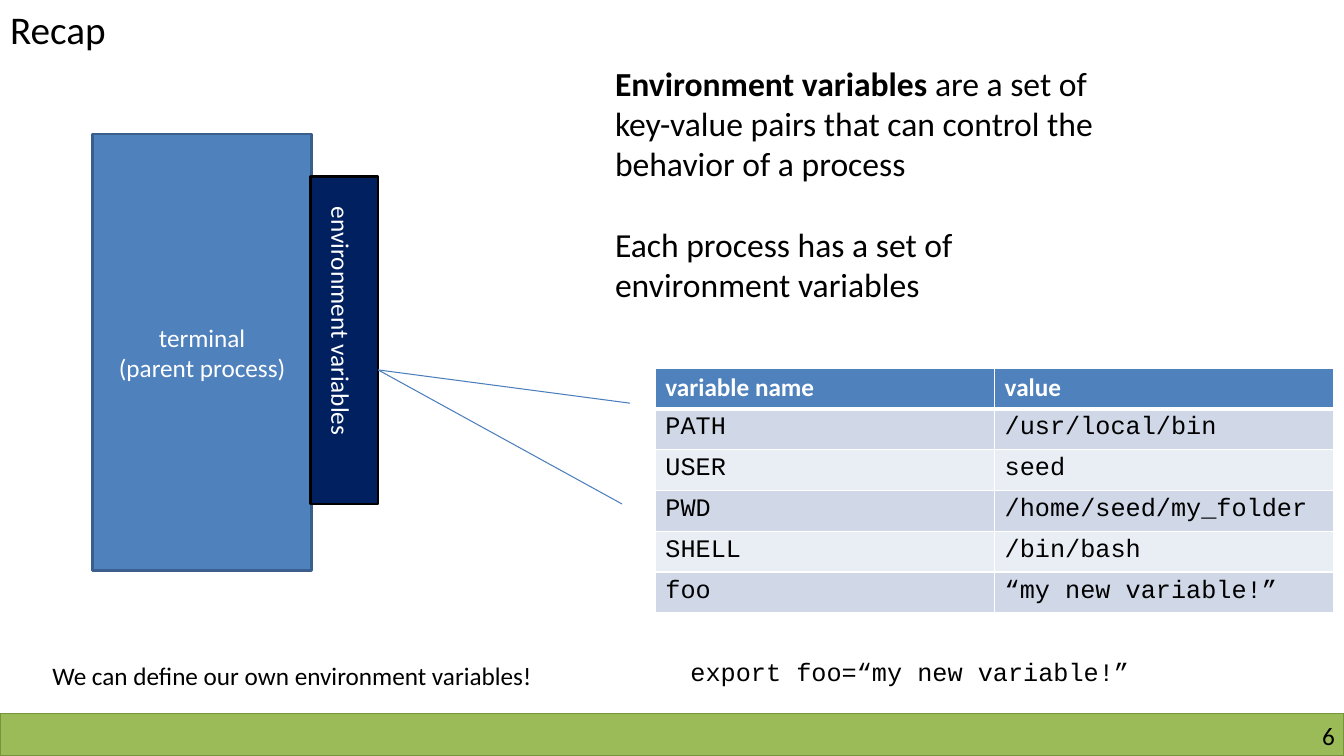
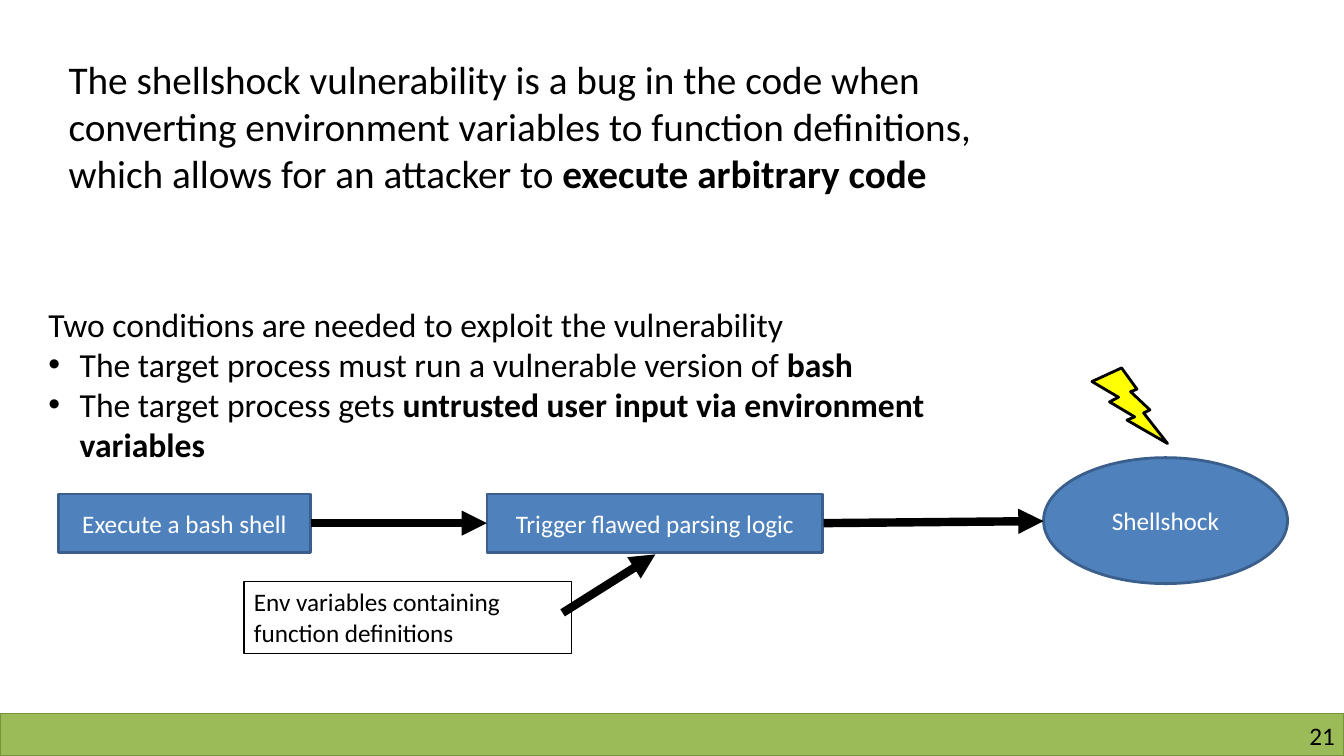
from lxml import etree
from pptx import Presentation
from pptx import util as u
from pptx.dml.color import RGBColor
from pptx.enum import shapes, text
from pptx.oxml import ns

COLORS = {
    "black": "000000", "white": "FFFFFF", "blue": "4F81BD", "blue_edge": "3A5F8C",
    "callout": "4B7EBC", "navy": "002060", "yellow": "FFFF00",
    "green": "9BBB59", "green_edge": "77933C", "row_odd": "D0D8E8", "row_even": "E9EDF4",
}
FONT, CODE_FONT = "Calibri", "Courier New"
SHAPE = shapes.MSO_SHAPE
ALIGN = text.PP_ALIGN
ANCHOR = text.MSO_ANCHOR


def rgb(name):
    return RGBColor.from_string(COLORS[name])


def sub(parent, tag, **attrs):
    return etree.SubElement(parent, ns.qn(tag), attrs)


class Deck:
    """Shared style plus the slide being built; boxes are (left, top, width, height) in inches."""

    def __init__(self):
        self.prs = Presentation()
        self.prs.slide_width = u.Inches(13.33)
        self.prs.slide_height = u.Inches(7.5)
        self.s = None

    def new_slide(self, number):
        self.s = self.prs.slides.add_slide(self.prs.slide_layouts[1])
        self.shape(SHAPE.RECTANGLE, (0, 7.08, 13.33, 0.42), "green", "green_edge", 1)
        tf = self.textbox((10.17, 7.15, 3.07, 0.3), number, align=ALIGN.RIGHT).text_frame
        tf.margin_left = tf.margin_right = tf.margin_top = tf.margin_bottom = 0

    def fill_text(self, tf, lines, size=18, color="black", font=FONT, align=ALIGN.LEFT,
                  anchor=ANCHOR.TOP, gap=0):
        """Fill a frame: **marks** give bold, a leading bullet sign gives a list item."""
        tf.word_wrap = True
        tf.auto_size = text.MSO_AUTO_SIZE.NONE
        tf.vertical_anchor = anchor
        for i, line in enumerate(lines):
            p = tf.paragraphs[0] if i == 0 else tf.add_paragraph()
            p.alignment = align
            p.space_before = u.Pt(gap if i else 0)
            self.bullet(p, line.startswith("•"))
            self.style(p.font, size, color, font)
            for j, part in enumerate(line.lstrip("• ").split("**")):
                if part:
                    r = p.add_run()
                    r.text = part
                    if j % 2:
                        r.font.bold = True

    def bullet(self, p, on):
        pPr = p._p.get_or_add_pPr()
        indent = u.Inches(0.31) if on else 0
        pPr.set("marL", str(indent))
        pPr.set("indent", str(-indent))
        if on:
            sub(pPr, "a:buFont", typeface="Arial")
            sub(pPr, "a:buChar", char="•")
        else:
            sub(pPr, "a:buNone")

    def style(self, font, size, color, name):
        font.size = u.Pt(size)
        font.name = name
        font.color.rgb = rgb(color)

    def place(self, sp, box):
        sp.left, sp.top, sp.width, sp.height = map(u.Inches, box)

    def title(self, box, line):
        sp = self.s.shapes.title
        self.place(sp, box)
        self.fill_text(sp.text_frame, [line], size=28)

    def body(self, box, *lines, gap=0):
        sp = self.s.placeholders[1]
        self.place(sp, box)
        self.fill_text(sp.text_frame, lines, size=24, gap=gap)

    def textbox(self, box, line, **style):
        sp = self.s.shapes.add_textbox(*map(u.Inches, box))
        self.fill_text(sp.text_frame, [line], **style)
        return sp

    def shape(self, kind, box, fill, edge, width=2):
        sp = self.s.shapes.add_shape(kind, *map(u.Inches, box))
        sp.shadow.inherit = False
        if fill:
            sp.fill.solid()
            sp.fill.fore_color.rgb = rgb(fill)
        else:
            sp.fill.background()
        sp.line.color.rgb = rgb(edge)
        sp.line.width = u.Pt(width)
        return sp

    def node(self, box, *lines, kind=SHAPE.RECTANGLE):
        sp = self.shape(kind, box, "blue", "blue_edge")
        self.fill_text(sp.text_frame, lines, color="white", align=ALIGN.CENTER,
                       anchor=ANCHOR.MIDDLE)

    def line(self, start, end, color, width, arrow=False):
        points = map(u.Inches, (*start, *end))
        c = self.s.shapes.add_connector(shapes.MSO_CONNECTOR.STRAIGHT, *points)
        c.line.color.rgb = rgb(color)
        c.line.width = u.Pt(width)
        if arrow:
            sub(c.line._get_or_add_ln(), "a:tailEnd", type="triangle")
        sub(c._element.spPr, "a:effectLst")

    def arrow(self, start, end):
        self.line(start, end, "black", 6, arrow=True)

    def table(self, box, rows):
        """The first row is the header; the others are code on banded fills."""
        frame = self.s.shapes.add_table(len(rows), len(rows[0]), *map(u.Inches, box))
        for i, row in enumerate(rows):
            for j, value in enumerate(row):
                cell = frame.table.cell(i, j)
                self.cell_borders(cell, top=3 if i == 1 else 1, bottom=3 if i == 0 else 1)
                cell.fill.solid()
                fill = "blue" if i == 0 else "row_odd" if i % 2 else "row_even"
                cell.fill.fore_color.rgb = rgb(fill)
                p = cell.text_frame.paragraphs[0]
                p.text = value
                p.font.bold = i == 0
                self.style(p.font, 18, "black" if i else "white", CODE_FONT if i else FONT)

    def cell_borders(self, cell, top, bottom):
        tcPr = cell._tc.get_or_add_tcPr()
        for side, width in (("L", 1), ("R", 1), ("T", top), ("B", bottom)):
            ln = sub(tcPr, "a:ln" + side, w=str(u.Pt(width)))
            sub(sub(ln, "a:solidFill"), "a:srgbClr", val=COLORS["white"])


def recap(d):
    d.new_slide("6")
    d.title((0, 0, 7.75, 0.57), "Recap")
    d.node((0.92, 1.33, 2.17, 4.33), "terminal", "(parent process)")
    d.shape(SHAPE.RECTANGLE, (3.08, 1.75, 0.67, 3.25), "navy", "black")
    label = d.textbox((2.05, 3.09, 2.67, 0.4), "environment variables", color="white")
    label.rotation = 90
    d.body((6, 0.57, 5.26, 2.52),
           "**Environment variables **are a set of key-value pairs that can control "
           "the behavior of a process",
           "Each process has a set of environment variables", gap=29)
    for end in ((6.25, 4), (6.17, 5)):
        d.line((3.75, 3.67), end, "callout", 0.75)
    d.table((6.5, 3.65, 6.73, 2.43), [
        ("variable name", "value"),
        ("PATH", "/usr/local/bin"),
        ("USER", "seed"),
        ("PWD", "/home/seed/my_folder"),
        ("SHELL", "/bin/bash"),
        ("foo", "“my new variable!”"),
    ])
    d.textbox((0.42, 6.5, 5.39, 0.4), "We can define our own environment variables!")
    d.textbox((6.75, 6.46, 5, 0.4), "export foo=“my new variable!”", font=CODE_FONT)


def shellshock(d):
    d.new_slide("21")
    d.title((0.58, 0.5, 9.42, 1.99),
            "The shellshock vulnerability is a bug in the code when converting environment "
            "variables to function definitions, which allows for an attacker to "
            "**execute arbitrary code**")
    d.body((0.38, 2.96, 9.58, 1.72),
           "Two conditions are needed to exploit the vulnerability",
           "• The target process must run a vulnerable version of **bash**",
           "• The target process gets **untrusted user input via environment variables**")
    d.node((0.58, 4.9, 2.5, 0.58), "Execute a bash shell")
    d.node((4.83, 4.9, 3.33, 0.58), "Trigger flawed parsing logic")
    d.node((10.35, 4.54, 2.42, 1.25), "Shellshock", kind=SHAPE.OVAL)
    d.arrow((3.08, 5.19), (4.83, 5.19))
    d.arrow((8.17, 5.19), (10.35, 5.17))
    d.shape(SHAPE.LIGHTNING_BOLT, (10.83, 3.65, 0.75, 0.75), "yellow", "black")
    d.arrow((5.58, 6.08), (6.5, 5.5))
    env = d.shape(SHAPE.RECTANGLE, (2.42, 5.77, 3.25, 0.71), None, "black", 0.75)
    d.fill_text(env.text_frame, ["Env variables containing function definitions"])


def main():
    d = Deck()
    recap(d)
    shellshock(d)
    d.prs.save("out.pptx")


if __name__ == "__main__":
    main()
